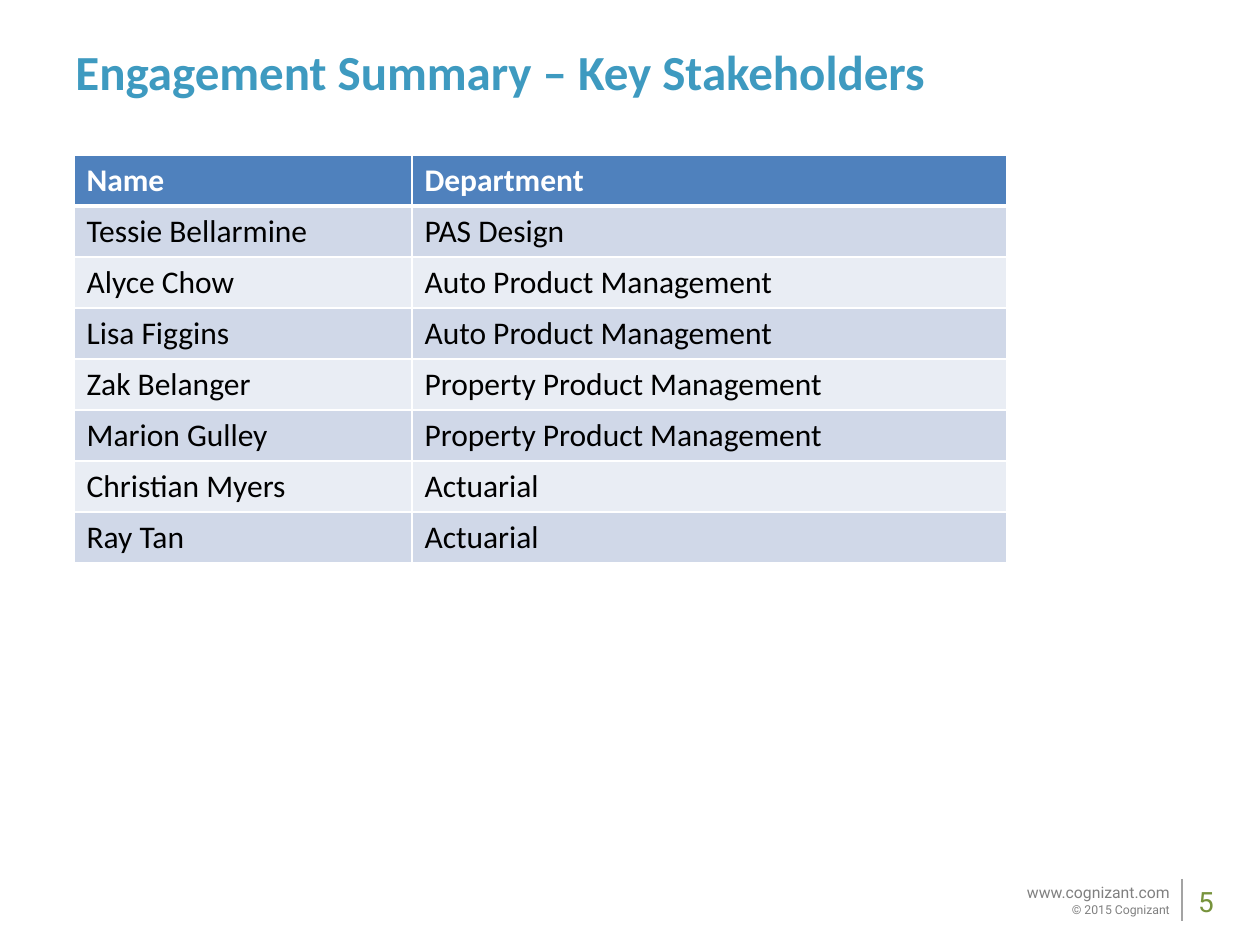
from dataclasses import dataclass

from lxml import etree
from pptx import Presentation
from pptx.dml.color import RGBColor
from pptx.enum.shapes import MSO_CONNECTOR
from pptx.enum.text import MSO_ANCHOR, PP_ALIGN
from pptx.oxml.ns import qn
from pptx.util import Pt

STRAIGHT = MSO_CONNECTOR.STRAIGHT
TOP, MIDDLE = MSO_ANCHOR.TOP, MSO_ANCHOR.MIDDLE
LEFT, CENTER, RIGHT = PP_ALIGN.LEFT, PP_ALIGN.CENTER, PP_ALIGN.RIGHT

TITLE = "Engagement Summary – Key Stakeholders"
STAKEHOLDERS = [
    ("Name", "Department"),
    ("Tessie Bellarmine", "PAS Design"),
    ("Alyce Chow", "Auto Product Management"),
    ("Lisa Figgins", "Auto Product Management"),
    ("Zak Belanger", "Property Product Management"),
    ("Marion Gulley", "Property Product Management"),
    ("Christian Myers", "Actuarial"),
    ("Ray Tan", "Actuarial"),
]
WEB_ADDRESS = "www.cognizant.com"
COPYRIGHT = "© 2015 Cognizant"
PAGE_NUMBER = "5"

SLIDE_SIZE = (1260, 945)
TABLE_ORIGIN = (74, 155)
COLUMN_WIDTHS = (338, 595)
ROW_HEIGHT = 51


@dataclass(frozen=True)
class Theme:
    body_font: str = "Calibri"
    footer_font: str = "Roboto"
    title: str = "3E9AC0"
    header: str = "4F81BD"
    bands: tuple = ("D0D8E8", "E9EDF4")
    white: str = "FFFFFF"
    black: str = "000000"
    footer: str = "808080"
    divider: str = "A3A3A3"
    page: str = "77933C"
    title_size: int = 28
    table_size: int = 18
    page_size: int = 16
    web_size: int = 9
    copyright_size: int = 7


THEME = Theme()


def px(value):
    return round(value * 914400 / 126)


def style(paragraph, name, size, color, bold=False):
    font = paragraph.font
    font.name, font.size, font.bold = name, Pt(size), bold
    font.color.rgb = RGBColor.from_string(color)


def add_text(slide, box, lines, font_name, color, alignment=LEFT, anchor=TOP, bold=False):
    frame = slide.shapes.add_textbox(*map(px, box)).text_frame
    frame.word_wrap = True
    frame.vertical_anchor = anchor
    frame.text = "\n".join(text for text, _ in lines)
    for paragraph, (_, size) in zip(frame.paragraphs, lines):
        paragraph.alignment = alignment
        style(paragraph, font_name, size, color, bold)


def add_borders(cell, widths):
    properties = cell._tc.get_or_add_tcPr()
    for side, width in widths.items():
        line = etree.SubElement(properties, qn(f"a:ln{side}"), w=str(Pt(width)))
        fill = etree.SubElement(line, qn("a:solidFill"))
        etree.SubElement(fill, qn("a:srgbClr"), val=THEME.white)


def add_stakeholder_table(slide):
    row_count = len(STAKEHOLDERS)
    size = (sum(COLUMN_WIDTHS), ROW_HEIGHT * row_count)
    table = slide.shapes.add_table(
        row_count, len(COLUMN_WIDTHS), *map(px, TABLE_ORIGIN + size)
    ).table
    for column, width in zip(table.columns, COLUMN_WIDTHS):
        column.width = px(width)
    for row_index, values in enumerate(STAKEHOLDERS):
        table.rows[row_index].height = px(ROW_HEIGHT)
        is_header = row_index == 0
        fill = THEME.header if is_header else THEME.bands[(row_index - 1) % 2]
        color = THEME.white if is_header else THEME.black
        top = 3 if row_index == 1 else 1
        bottom = 3 if is_header else 1
        for column_index, value in enumerate(values):
            cell = table.cell(row_index, column_index)
            cell.text = value
            style(cell.text_frame.paragraphs[0], THEME.body_font, THEME.table_size, color, is_header)
            add_borders(cell, {"L": 1, "R": 1, "T": top, "B": bottom})
            cell.fill.solid()
            cell.fill.fore_color.rgb = RGBColor.from_string(fill)


def add_footer(slide):
    add_text(slide, (1174, 878, 64, 40), [(PAGE_NUMBER, THEME.page_size)],
             THEME.footer_font, THEME.page, CENTER)
    divider = slide.shapes.add_connector(STRAIGHT, *map(px, (1182, 879, 1182, 921)))
    divider.line.color.rgb = RGBColor.from_string(THEME.divider)
    divider.line.width = Pt(0.75)
    etree.SubElement(divider._element.spPr, qn("a:effectLst"))
    add_text(slide, (988, 877, 194, 47),
             [(WEB_ADDRESS, THEME.web_size), (COPYRIGHT, THEME.copyright_size)],
             THEME.footer_font, THEME.footer, RIGHT)


def main():
    presentation = Presentation()
    presentation.slide_width, presentation.slide_height = map(px, SLIDE_SIZE)
    slide = presentation.slides.add_slide(presentation.slide_layouts[6])
    add_footer(slide)
    add_text(slide, (63, 23, 1166, 95), [(TITLE, THEME.title_size)],
             THEME.body_font, THEME.title, anchor=MIDDLE, bold=True)
    add_stakeholder_table(slide)
    presentation.save("out.pptx")


if __name__ == "__main__":
    main()
